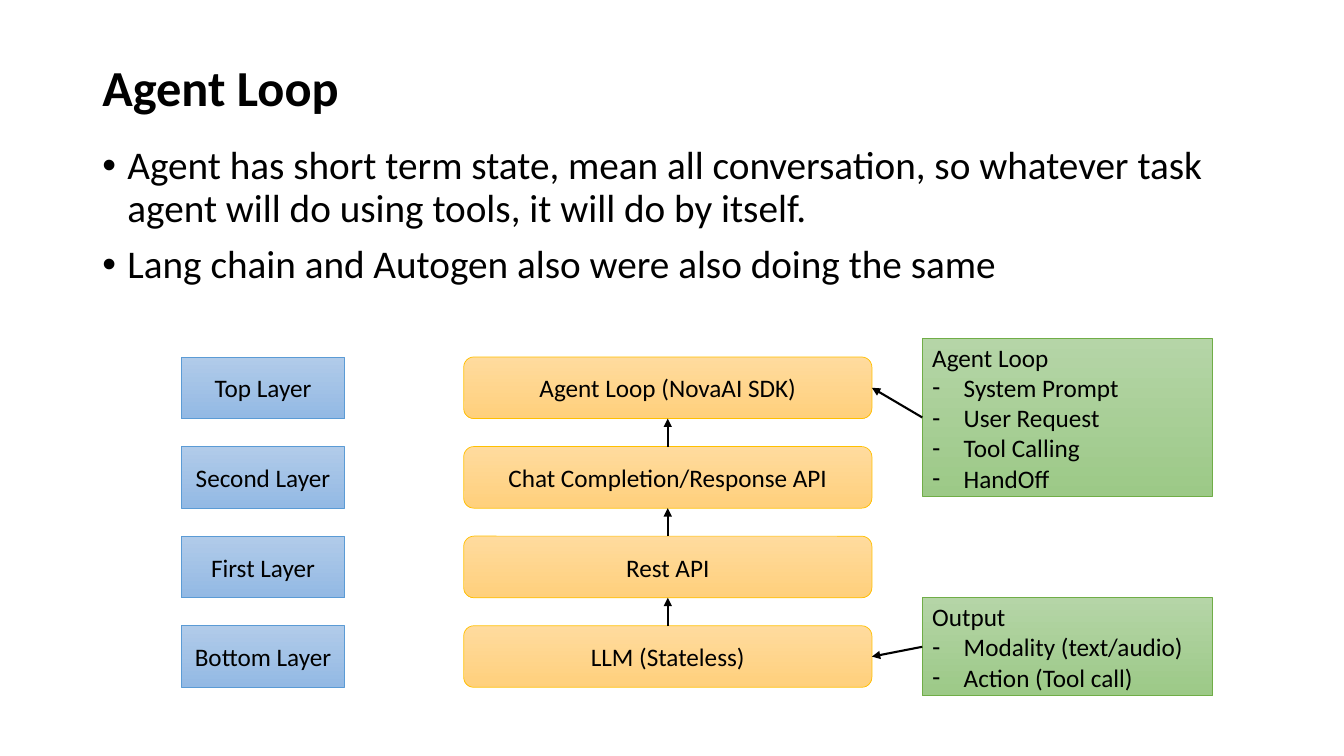
"""Build the Agent Loop slide: a text block above a layered diagram."""
from pptx import Presentation, oxml, util as u
from pptx.dml import color
from pptx.enum import shapes, text
from pptx.oxml import ns


def rgb(value):
    return color.RGBColor.from_string(value)


class Deck:
    font = "Calibri"
    ink = "000000"
    orange = ("FFDB9E", "FFD07C", "FFC000")
    blue = ("B1CBE9", "93B9E4", "5B9BD5")
    green = ("B5D5A7", "9CC987", "70AD47")

    def __init__(self, prs):
        self.s = prs.slides.add_slide(prs.slide_layouts[6])

    def element(self, parent, tag, **attrs):
        el = oxml.parse_xml(f"<a:{tag} {ns.nsdecls('a')}/>")
        for name, value in attrs.items():
            el.set(name, value)
        parent.append(el)

    def paragraphs(self, tf, lines, size, bullet=None, indent=0, plain=0, bold=False,
                   anchor=text.MSO_ANCHOR.MIDDLE, **fmt):
        tf.word_wrap = True
        tf.vertical_anchor = anchor
        for i, line in enumerate(lines):
            p = tf.paragraphs[0] if i == 0 else tf.add_paragraph()
            for name, value in fmt.items():
                setattr(p, name, value)
            if bullet and i >= plain:
                pPr = p._p.get_or_add_pPr()
                pPr.set("marL", str(u.Pt(indent)))
                pPr.set("indent", str(-u.Pt(indent)))
                self.element(pPr, "buFont", typeface="Arial")
                self.element(pPr, "buChar", char=bullet)
            r = p.add_run()
            r.text = line
            for name, value in dict(name=self.font, size=u.Pt(size), bold=bold).items():
                setattr(r.font, name, value)
            r.font.color.rgb = rgb(self.ink)

    def text(self, box, lines, size, **fmt):
        sp = self.s.shapes.add_textbox(*map(u.Pt, box))
        self.paragraphs(sp.text_frame, lines, size, line_spacing=0.9, **fmt)

    def box(self, kind, box, lines, palette, **fmt):
        sp = self.s.shapes.add_shape(kind, *map(u.Pt, box))
        sp.shadow.inherit = False
        top, bottom, edge = palette
        sp.fill.gradient()
        sp.fill.gradient_angle = 270
        for stop, value in zip(sp.fill.gradient_stops, (top, bottom)):
            stop.color.rgb = rgb(value)
        sp.line.color.rgb = rgb(edge)
        sp.line.width = u.Pt(0.5)
        self.paragraphs(sp.text_frame, lines, 18, **fmt)
        return sp

    def arrow(self, start, start_site, end, end_site):
        c = self.s.shapes.add_connector(shapes.MSO_CONNECTOR.STRAIGHT, 0, 0, 0, 0)
        c.begin_connect(start, start_site)
        c.end_connect(end, end_site)
        c.line.color.rgb = rgb(self.ink)
        c.line.width = u.Pt(1.5)
        self.element(c.line._get_or_add_ln(), "tailEnd", type="triangle")
        self.element(c._element.spPr, "effectLst")


def main():
    prs = Presentation()
    prs.slide_width, prs.slide_height = u.Pt(960), u.Pt(540)
    d = Deck(prs)
    rect = shapes.MSO_SHAPE.RECTANGLE
    rounded = shapes.MSO_SHAPE.ROUNDED_RECTANGLE
    center, left = text.PP_ALIGN.CENTER, text.PP_ALIGN.LEFT

    d.text((66, 28.8, 828, 72), ["Agent Loop"], 36, bold=True)
    d.text((66, 100.8, 828, 385), [
        "Agent has short term state, mean all conversation, so whatever task "
        "agent will do using tools, it will do by itself.",
        "Lang chain and Autogen also were also doing the same",
    ], 28, bullet="•", indent=18, anchor=text.MSO_ANCHOR.TOP, space_before=u.Pt(10))

    layers = [
        ("Top Layer", "Agent Loop (NovaAI SDK)"),
        ("Second Layer", "Chat Completion/Response API"),
        ("First Layer", "Rest API"),
        ("Bottom Layer", "LLM (Stateless)"),
    ]
    stack = []
    for i, (label, content) in enumerate(layers):
        y = 255 + 64 * i
        d.box(rect, (129.6, y, 116.6, 44), [label], d.blue, alignment=center)
        stack.append(d.box(rounded, (331.2, y, 291.6, 44), [content], d.orange,
                           alignment=center))
    for upper, lower in zip(stack, stack[1:]):
        d.arrow(lower, 0, upper, 2)

    notes = [
        (242, 112.4, stack[0],
         ["Agent Loop", "System Prompt", "User Request", "Tool Calling", "HandOff"]),
        (427, 70, stack[-1],
         ["Output", "Modality (text/audio)", "Action (Tool call)"]),
    ]
    for y, height, target, lines in notes:
        sp = d.box(rect, (658.8, y, 207.4, height), lines, d.green,
                   bullet="-", indent=22.5, plain=1, alignment=left)
        d.arrow(sp, 1, target, 3)

    prs.save("out.pptx")


if __name__ == "__main__":
    main()
